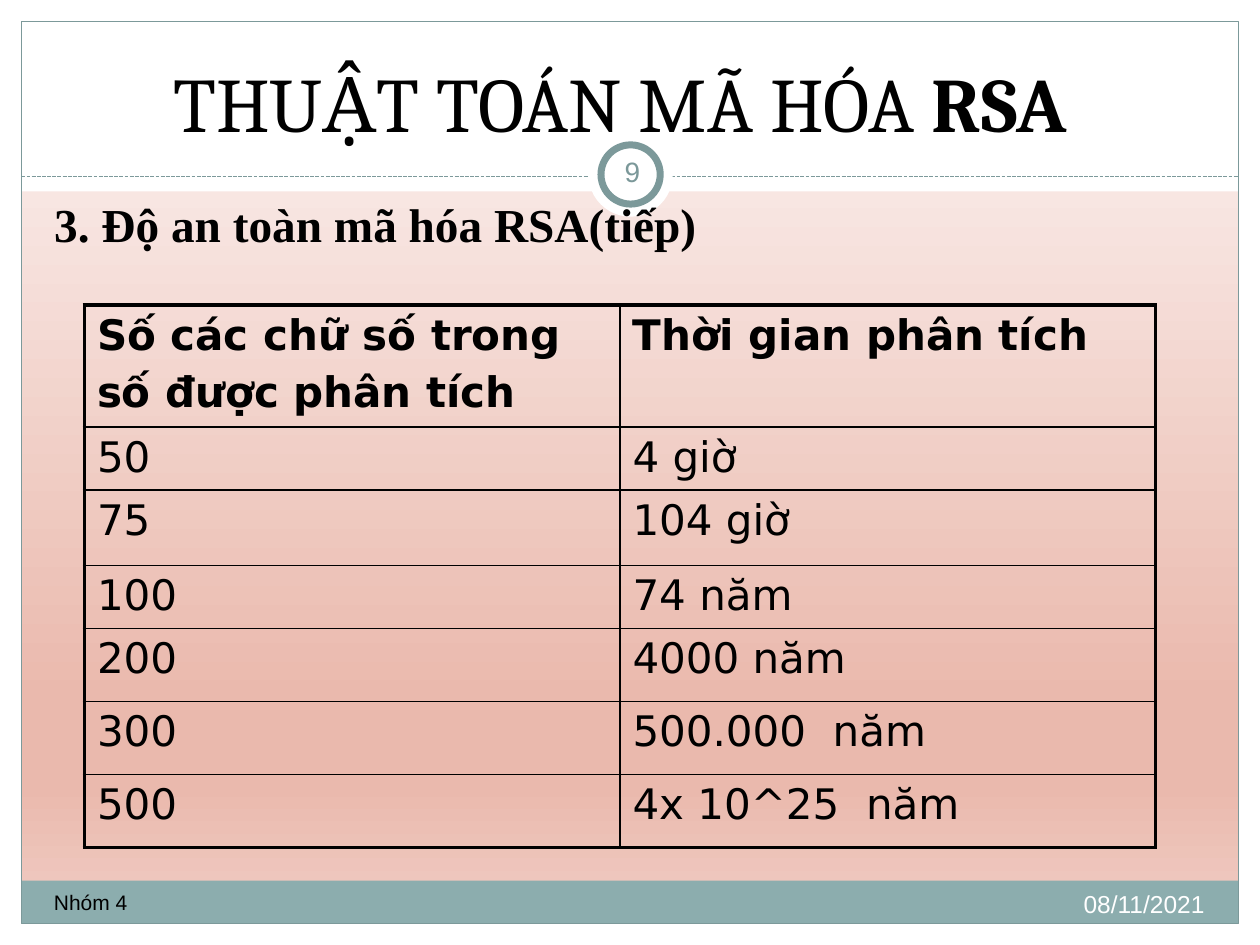
from lxml import etree
from pptx import Presentation
from pptx.dml.color import RGBColor
from pptx.enum.dml import MSO_LINE
from pptx.enum.shapes import MSO_CONNECTOR, MSO_SHAPE
from pptx.enum.text import MSO_ANCHOR, MSO_AUTO_SIZE, PP_ALIGN
from pptx.oxml import parse_xml
from pptx.oxml.ns import nsdecls, qn
from pptx.util import Inches, Pt

RECTANGLE, OVAL = MSO_SHAPE.RECTANGLE, MSO_SHAPE.OVAL
STRAIGHT, DASHED = MSO_CONNECTOR.STRAIGHT, MSO_LINE.SQUARE_DOT
LEFT, CENTER, RIGHT = PP_ALIGN.LEFT, PP_ALIGN.CENTER, PP_ALIGN.RIGHT
TOP, MIDDLE = MSO_ANCHOR.TOP, MSO_ANCHOR.MIDDLE
NO_AUTOFIT = MSO_AUTO_SIZE.NONE

WHITE, BLACK, TEAL, BAND, NUMBER = "FFFFFF", "000000", "7C999A", "8CADAE", "7B9899"
GRADIENT = [(0, "FDF7F6"), (74, "EAB9AD"), (83, "EAB9AD"), (100, "F1D0C8")]
WIDTH, HEIGHT, MARGIN = 10, 7.5, 0.17
THIN, THICK = 1, 2.25
ROW_HEIGHTS = [0.94, 0.48, 0.6, 0.5, 0.58, 0.58, 0.58]
ROWS = [
    ("Số các chữ số trong\nsố được phân tích", "Thời gian phân tích"),
    ("50", "4 giờ"),
    ("75", "104 giờ"),
    ("100", "74 năm"),
    ("200", "4000 năm"),
    ("300", "500.000  năm"),
    ("500", "4x 10^25  năm"),
]


def color(value):
    return RGBColor.from_string(value)


def place(shape, box):
    shape.left, shape.top, shape.width, shape.height = map(Inches, box)


def style(paragraph, font_name, size, font_color=BLACK, bold=None, align=LEFT):
    paragraph.alignment = align
    font = paragraph.font
    font.name, font.size, font.bold = font_name, Pt(size), bold
    font.color.rgb = color(font_color)


def add_shape(slide, kind, box, fill=None, line=None, line_width=0.75):
    shape = slide.shapes.add_shape(kind, *map(Inches, box))
    shape.shadow.inherit = False
    if fill:
        shape.fill.solid()
        shape.fill.fore_color.rgb = color(fill)
    else:
        shape.fill.background()
    if line:
        shape.line.color.rgb = color(line)
        shape.line.width = Pt(line_width)
    else:
        shape.line.fill.background()


def add_text(slide, box, text, size, font_color, align=LEFT, anchor=TOP, inset=None):
    text_box = slide.shapes.add_textbox(*map(Inches, box))
    frame = text_box.text_frame
    frame.word_wrap = True
    frame.vertical_anchor = anchor
    if inset is not None:
        frame.margin_left = frame.margin_right = Inches(inset)
        frame.margin_top = frame.margin_bottom = Inches(inset)
    frame.text = text
    style(frame.paragraphs[0], "Arial", size, font_color, align=align)


def set_background(slide):
    stops = "".join(
        f'<a:gs pos="{position * 1000}"><a:srgbClr val="{value}"/></a:gs>'
        for position, value in GRADIENT
    )
    background = parse_xml(
        f'<p:bg {nsdecls("p", "a")}><p:bgPr><a:gradFill><a:gsLst>{stops}</a:gsLst>'
        '<a:lin ang="5400000" scaled="0"/></a:gradFill><a:effectLst/></p:bgPr></p:bg>'
    )
    slide.element.cSld.insert(0, background)


def add_frame(slide):
    for box in [
        (0, HEIGHT - MARGIN, WIDTH, MARGIN),
        (0, 0, WIDTH, 1.52),
        (0, 0, MARGIN, HEIGHT),
        (WIDTH - MARGIN, 0, MARGIN, HEIGHT),
    ]:
        add_shape(slide, RECTANGLE, box, WHITE)
    inner_width, inner_height = WIDTH - 2 * MARGIN, HEIGHT - 2 * MARGIN
    add_shape(slide, RECTANGLE, (MARGIN, 6.99, inner_width, 0.34), BAND)
    add_shape(slide, RECTANGLE, (MARGIN, MARGIN, inner_width, inner_height), line=TEAL)
    divider = slide.shapes.add_connector(
        STRAIGHT, Inches(MARGIN), Inches(1.4), Inches(WIDTH - MARGIN), Inches(1.4)
    )
    divider.line.color.rgb = color(TEAL)
    divider.line.width = Pt(0.75)
    divider.line.dash_style = DASHED
    etree.SubElement(divider.element.spPr, qn("a:effectLst"))


def add_page_badge(slide, box):
    left, top, width, height = box
    add_shape(slide, OVAL, box, WHITE)
    ring = (left + 0.1, top + 0.1, width - 0.2, height - 0.2)
    add_shape(slide, OVAL, ring, WHITE, TEAL, 4)
    number = (left + 0.1, top + 0.07, 0.5, 0.48)
    add_text(slide, number, "9", 16, NUMBER, CENTER, MIDDLE, 0.05)


def add_footer(slide, box):
    left, top, width, height = box
    add_text(slide, (left + width - 3.33, top, 3.33, height), "08/11/2021", 14, WHITE, RIGHT)
    add_text(slide, (left, top, 3.92, height), "Nhóm 4", 12, BLACK)


def set_borders(cell, widths):
    properties = cell._tc.get_or_add_tcPr()
    for side, width in zip("LRTB", widths):
        line = etree.SubElement(properties, qn(f"a:ln{side}"), w=str(Pt(width)))
        fill = etree.SubElement(line, qn("a:solidFill"))
        etree.SubElement(fill, qn("a:srgbClr"), val=BLACK)


def add_time_table(slide, box):
    row_count, column_count = len(ROWS), len(ROWS[0])
    frame = slide.shapes.add_table(row_count, column_count, *map(Inches, box))
    table = frame.table
    table.first_row = table.horz_banding = False
    for row, height in zip(table.rows, ROW_HEIGHTS):
        row.height = Inches(height)
    for row_index, texts in enumerate(ROWS):
        for column_index, text in enumerate(texts):
            cell = table.cell(row_index, column_index)
            cell.text = text
            for paragraph in cell.text_frame.paragraphs:
                style(paragraph, "DejaVu Sans", 24, bold=row_index == 0)
                paragraph.space_before = Pt(4.8)
            outer_sides = (
                column_index == 0,
                column_index == column_count - 1,
                row_index == 0,
                row_index == row_count - 1,
            )
            set_borders(cell, [THICK if outer else THIN for outer in outer_sides])
            cell.fill.background()


def fill_title(slide, box):
    title = slide.shapes.title
    place(title, box)
    frame = title.text_frame
    frame.auto_size = NO_AUTOFIT
    frame.vertical_anchor = MIDDLE
    paragraph = frame.paragraphs[0]
    paragraph.add_run().text = "THUẬT TOÁN MÃ HÓA "
    name = paragraph.add_run()
    name.text = "RSA"
    name.font.bold = True
    style(paragraph, "Cambria", 44, align=CENTER)
    slide.shapes._spTree.append(title.element)


def fill_heading(slide, box):
    heading = slide.placeholders[1]
    place(heading, box)
    frame = heading.text_frame
    frame.auto_size = NO_AUTOFIT
    frame.text = "3. Độ an toàn mã hóa RSA(tiếp)"
    paragraph = frame.paragraphs[0]
    style(paragraph, "Times New Roman", 27, bold=True)
    paragraph.space_before = Pt(5.4)
    properties = paragraph._p.get_or_add_pPr()
    properties.set("marL", str(Inches(0.3)))
    properties.set("indent", str(Inches(-0.3)))
    properties.get_or_change_to_buNone() if hasattr(
        properties, "get_or_change_to_buNone"
    ) else properties.insert_element_before(
        parse_xml(f'<a:buNone {nsdecls("a")}/>'), "a:tabLst", "a:defRPr", "a:extLst"
    )
    slide.shapes._spTree.append(heading.element)


def main():
    presentation = Presentation()
    presentation.slide_width, presentation.slide_height = Inches(WIDTH), Inches(HEIGHT)
    slide = presentation.slides.add_slide(presentation.slide_layouts[1])
    set_background(slide)
    add_frame(slide)
    add_page_badge(slide, (4.67, 1.05, 0.67, 0.67))
    add_footer(slide, (0.33, 7.01, 9.33, 0.4))
    add_time_table(slide, (0.67, 2.42, 8.5, 4.33))
    fill_title(slide, (0.67, 0, 8.5, 1.61))
    fill_heading(slide, (0.33, 1.5, 9.33, 0.58))
    presentation.save("out.pptx")


if __name__ == "__main__":
    main()
